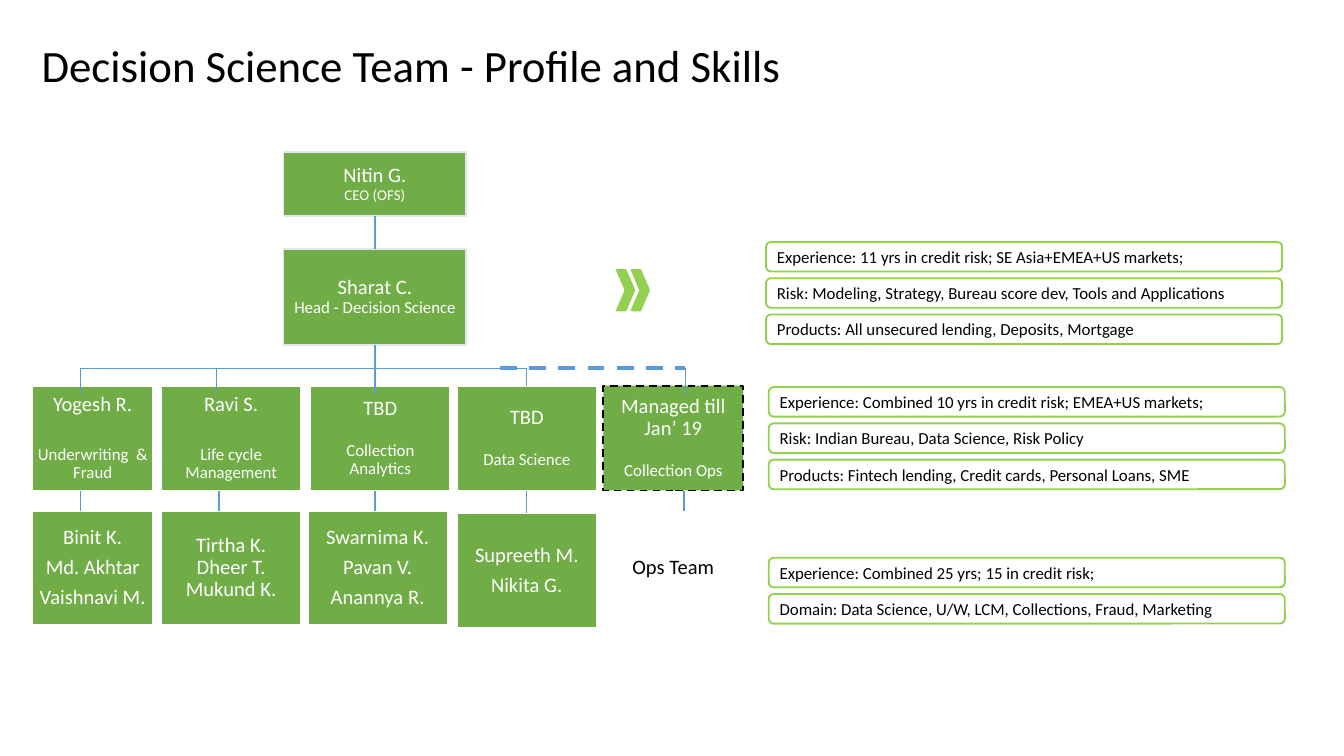
"""Build the decision science team slide: an org chart with skill summaries."""
from lxml.etree import SubElement
from pptx import Presentation
from pptx.dml.color import RGBColor
from pptx.enum.dml import MSO_LINE
from pptx.enum.shapes import MSO_CONNECTOR, MSO_SHAPE
from pptx.enum.text import MSO_ANCHOR, PP_ALIGN
from pptx.oxml.ns import qn
from pptx.util import Inches, Pt

GREEN = RGBColor(0x70, 0xAD, 0x47)
LIME = RGBColor(0x92, 0xD0, 0x50)
BLUE = RGBColor(0x5B, 0x9B, 0xD5)
GREY = RGBColor(0xE6, 0xE6, 0xE6)
WHITE = RGBColor(0xFF, 0xFF, 0xFF)
BLACK = RGBColor(0, 0, 0)
FONT = "Calibri"

TITLE = "Decision Science Team - Profile and Skills"
LEADERS = [
    (1.13, 0.48, [("Nitin G.", 11, 0), ("CEO (OFS)", 8, 0)]),
    (1.85, 0.72, [("Sharat C.", 11, 0), ("Head - Decision Science", 9, 0)]),
]
COLUMNS = [
    {"left": 0.24, "width": 0.9, "drop": 0.6, "stem": 0.6,
     "lead": "Yogesh R.", "role": "Underwriting  & Fraud", "before": 4,
     "team": ["Binit K.", "Md. Akhtar", "Vaishnavi M."], "gap": 4},
    {"left": 1.2, "width": 1.04, "drop": 1.61, "stem": 1.63,
     "lead": "Ravi S.", "role": "Life cycle Management", "before": 4,
     "team": ["Tirtha K.", "Dheer T.", "Mukund K."], "gap": 0},
    {"left": 2.31, "width": 1.04, "drop": 2.79, "stem": 2.79,
     "lead": "TBD", "role": "Collection Analytics", "before": 0,
     "team": ["Swarnima K.", "Pavan V.", "Anannya R."], "gap": 4, "team_left": 2.29},
    {"left": 3.4, "width": 1.04, "drop": 3.92, "stem": 3.92,
     "lead": "TBD", "role": "Data Science", "before": 0,
     "team": ["Supreeth M.", "Nikita G."], "gap": 4, "team_top": 3.82},
    {"left": 4.49, "width": 1.04, "drop": 5.1, "stem": 5.09,
     "lead": "Managed till Jan’ 19", "role": "Collection Ops", "before": 0,
     "team": ["Ops Team"], "gap": 0, "external": True},
]
SKILLS = [
    (5.7, 1.8, ["Experience: 11 yrs in credit risk; SE Asia+EMEA+US markets;",
                "Risk: Modeling, Strategy, Bureau score dev, Tools and Applications",
                "Products: All unsecured lending, Deposits, Mortgage"]),
    (5.72, 2.88, ["Experience: Combined 10 yrs in credit risk; EMEA+US markets;",
                  "Risk: Indian Bureau, Data Science, Risk Policy",
                  "Products: Fintech lending, Credit cards, Personal Loans, SME"]),
    (5.72, 4.15, ["Experience: Combined 25 yrs; 15 in credit risk;",
                  "Domain: Data Science, U/W, LCM, Collections, Fraud, Marketing"]),
]
LEADER_LEFT, LEADER_WIDTH = 2.11, 1.36
ROLE_TOP, ROLE_HEIGHT = 2.87, 0.78
TEAM_TOP, TEAM_HEIGHT = 3.8, 0.85
BUS_Y, DROP_END = 2.74, 2.93
SKILL_PITCH = 0.27


def write(tf, lines, color, align, spacing, margins):
    tf.word_wrap = True
    tf.vertical_anchor = MSO_ANCHOR.MIDDLE
    tf.margin_left = tf.margin_right = Inches(margins[0])
    tf.margin_top = tf.margin_bottom = Inches(margins[1])
    for i, (text, size, before) in enumerate(lines):
        p = tf.add_paragraph() if i else tf.paragraphs[0]
        p.alignment = align
        p.line_spacing = spacing
        p.space_before = Pt(before)
        r = p.add_run()
        r.text = text
        r.font.name = FONT
        r.font.size = Pt(size)
        r.font.color.rgb = color


def add_block(s, kind, left, top, width, height, fill, line):
    sp = s.shapes.add_shape(kind, Inches(left), Inches(top), Inches(width), Inches(height))
    sp.shadow.inherit = False
    sp.fill.solid()
    sp.fill.fore_color.rgb = fill
    sp.line.color.rgb = line
    sp.line.width = Pt(1)
    return sp


def add_box(s, left, top, width, height, lines, fill=GREEN, line=WHITE, color=WHITE):
    sp = add_block(s, MSO_SHAPE.RECTANGLE, left, top, width, height, fill, line)
    write(sp.text_frame, lines, color, PP_ALIGN.CENTER, 0.9, (0.03, 0.03))
    return sp


def add_line(s, x1, y1, x2, y2, width=0.75):
    c = s.shapes.add_connector(MSO_CONNECTOR.STRAIGHT, Inches(x1), Inches(y1),
                               Inches(x2), Inches(y2))
    c.line.color.rgb = BLUE
    c.line.width = Pt(width)
    SubElement(c._element.spPr, qn("a:effectLst"))
    return c


def is_centred(x, sp):
    return abs(Inches(x) - sp.left - sp.width / 2) < Inches(0.02)


def add_org_chart(s):
    ceo, head = [add_box(s, LEADER_LEFT, top, LEADER_WIDTH, height, lines, line=GREY)
                 for top, height, lines in LEADERS]
    mid = LEADER_LEFT + LEADER_WIDTH / 2
    chain = add_line(s, mid, 1.61, mid, 1.85)
    chain.begin_connect(ceo, 2)
    chain.end_connect(head, 0)
    add_line(s, mid, 2.57, mid, BUS_Y).begin_connect(head, 2)

    add_line(s, COLUMNS[0]["drop"], BUS_Y, COLUMNS[3]["drop"], BUS_Y)
    dashed = add_line(s, 3.72, BUS_Y, COLUMNS[4]["drop"], BUS_Y, 2.25)
    dashed.line.dash_style = MSO_LINE.DASH

    for col in COLUMNS:
        external = col.get("external", False)
        before = col["before"]
        role = add_box(s, col["left"], ROLE_TOP, col["width"], ROLE_HEIGHT,
                       [(col["lead"], 11, before), (col["role"], 9, 12 + before)],
                       line=BLACK if external else WHITE)
        if external:
            role.line.dash_style = MSO_LINE.DASH
        top = col.get("team_top", TEAM_TOP)
        team = add_box(s, col.get("team_left", col["left"]), top, col["width"], TEAM_HEIGHT,
                       [(name, 11, col["gap"] if i else 0)
                        for i, name in enumerate(col["team"])],
                       fill=WHITE if external else GREEN,
                       color=BLACK if external else WHITE)
        drop = add_line(s, col["drop"], BUS_Y, col["drop"], DROP_END)
        stem = add_line(s, col["stem"], ROLE_TOP + ROLE_HEIGHT, col["stem"], top)
        if is_centred(col["drop"], role):
            drop.end_connect(role, 0)
        if is_centred(col["stem"], role):
            stem.begin_connect(role, 2)
        if is_centred(col["stem"], team):
            stem.end_connect(team, 0)


def add_skills(s):
    for left in (4.59, 4.7):
        add_block(s, MSO_SHAPE.CHEVRON, left, 2.01, 0.13, 0.3, LIME, LIME)
    for left, top, texts in SKILLS:
        for i, text in enumerate(texts):
            sp = add_block(s, MSO_SHAPE.ROUNDED_RECTANGLE, left, top + i * SKILL_PITCH,
                           3.84, 0.22, WHITE, LIME)
            write(sp.text_frame, [(text, 9, 0)], BLACK, PP_ALIGN.LEFT, 1.0, (0.07, 0.04))


def main():
    prs = Presentation()
    prs.slide_width = Inches(10)
    prs.slide_height = prs.slide_width * 9 // 16
    s = prs.slides.add_slide(prs.slide_layouts[5])
    title = s.shapes.title
    title.left, title.top = Inches(0.24), Inches(0.18)
    title.width, title.height = Inches(8.62), Inches(0.65)
    write(title.text_frame, [(TITLE, 24, 0)], BLACK, PP_ALIGN.LEFT, 0.9, (0.07, 0.04))
    add_org_chart(s)
    add_skills(s)
    prs.save("out.pptx")


if __name__ == "__main__":
    main()
